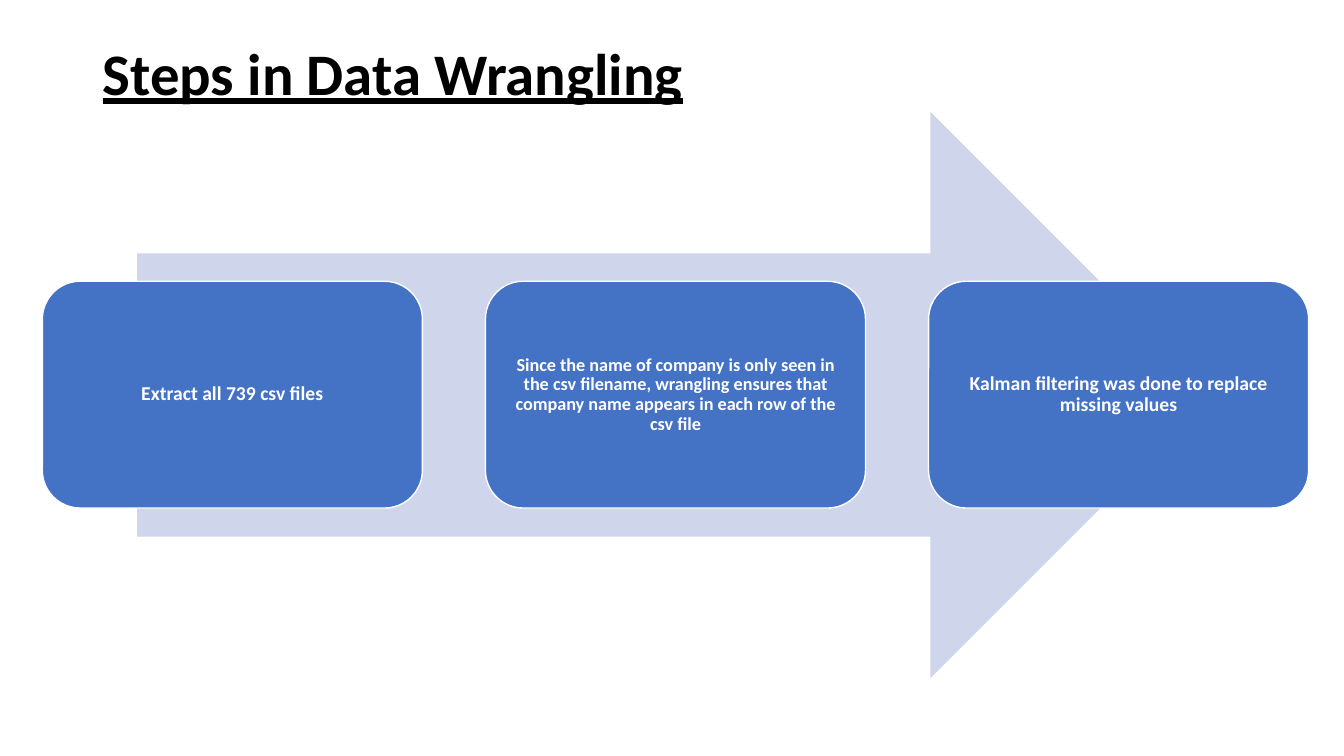
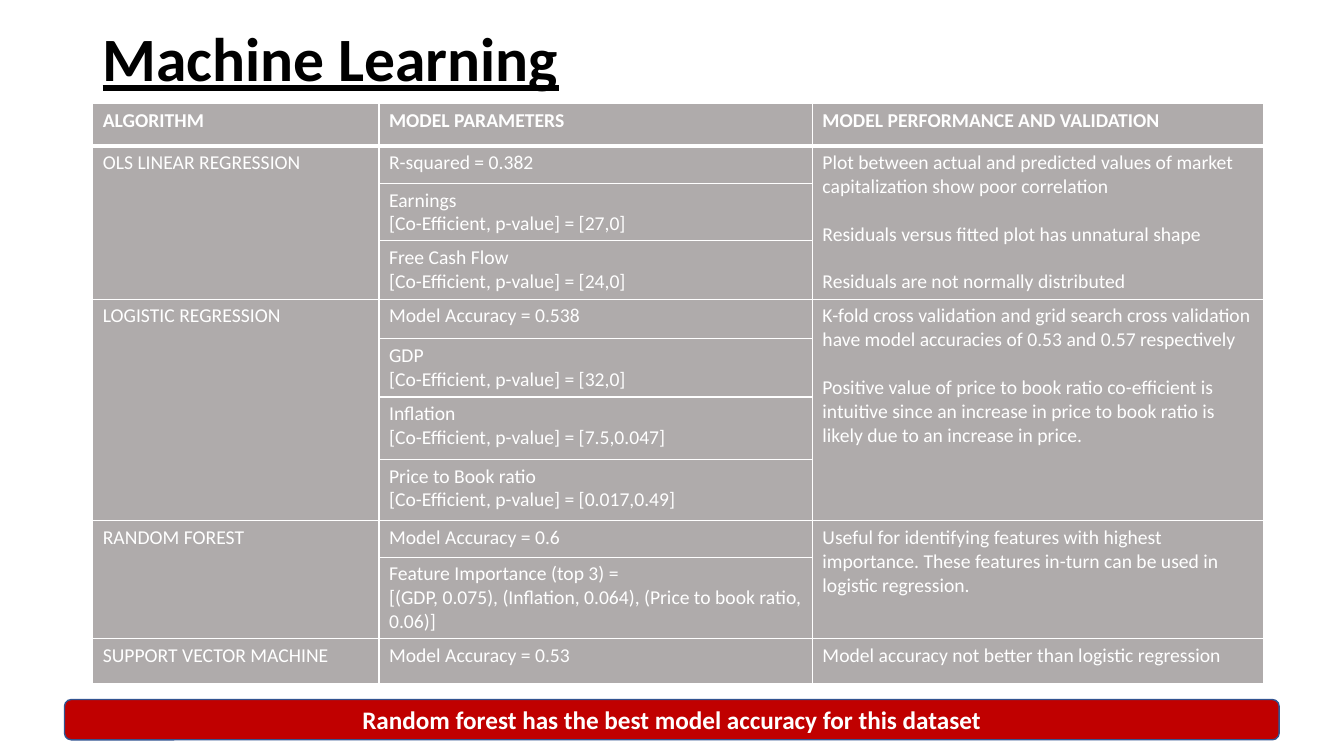
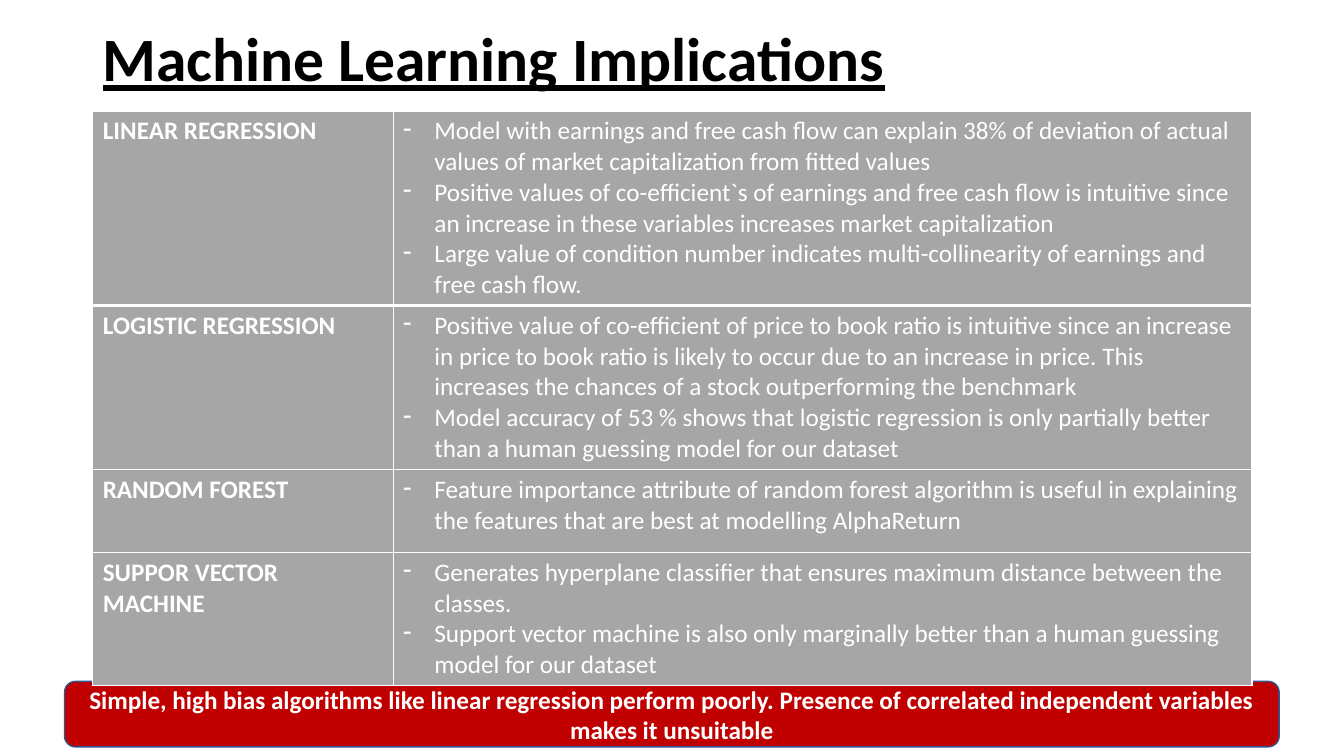
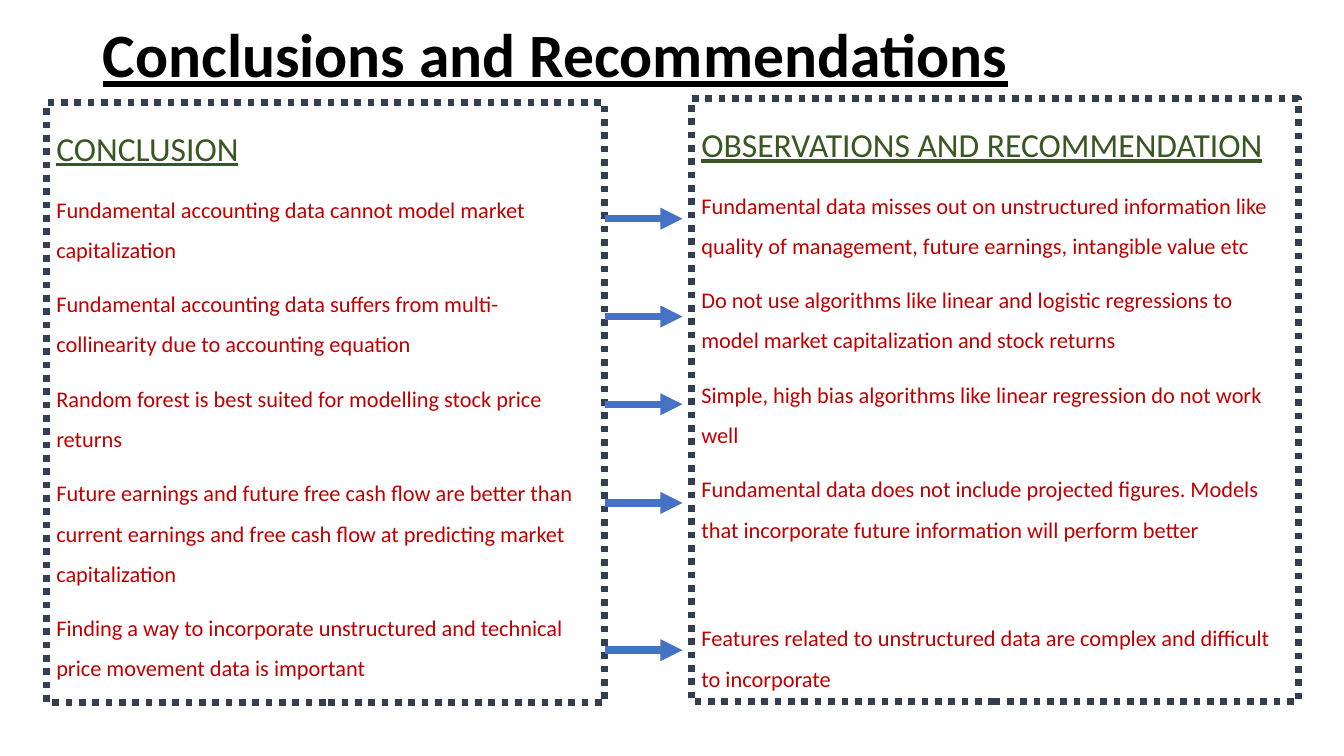
from dataclasses import dataclass, replace

from pptx import Presentation
from pptx.dml.color import RGBColor
from pptx.enum.dml import MSO_LINE
from pptx.enum.shapes import MSO_CONNECTOR, MSO_SHAPE
from pptx.enum.text import MSO_ANCHOR as Anchor, PP_ALIGN as Align
from pptx.oxml.ns import qn
from pptx.oxml.xmlchemy import OxmlElement as Element
from pptx.shapes.autoshape import Shape
from pptx.slide import Slide
from pptx.table import _Cell as Cell
from pptx.text.text import TextFrame
from pptx.util import Emu, Inches, Pt

COLORS = {
    "ink": "000000", "white": "FFFFFF", "blue": "4472C4", "pale": "CFD5EA",
    "red": "C00000", "banner_edge": "325491", "navy": "333F50", "green": "385723",
    "warm_gray": "AFABAB", "gray": "A6A6A6",
}
FONT = "Calibri"
SLIDE_W, SLIDE_H = Inches(13.333), Inches(7.5)
DASH_INDENT = Inches(0.31)


@dataclass(frozen=True)
class Box:
    """Place on the slide, in percent of its width and height."""
    left: float
    top: float
    width: float
    height: float


@dataclass(frozen=True)
class Style:
    size: float
    color: str = "white"
    bold: bool = False
    underline: bool = False
    align: Align = Align.LEFT
    spacing: float = 1.0
    before: float = 0
    dash: bool = False


@dataclass(frozen=True)
class Para:
    text: str
    style: Style


@dataclass(frozen=True)
class Algorithm:
    name: str
    parameters: list[list[str]]
    findings: list[str]


@dataclass(frozen=True)
class Panel:
    box: Box
    heading: str
    points: list[str]
    last_before: float = 10


TITLE = Style(44, "ink", bold=True, underline=True, spacing=0.9)
STEP = Style(14, bold=True, align=Align.CENTER, spacing=0.9)
BANNER = Style(18, bold=True, align=Align.CENTER)
HEADING = Style(24, "green", underline=True, spacing=1.5, before=10)
POINT = Style(16, "red", spacing=1.5, before=10)
MODEL_CELL = Style(14)
IMPLICATION = Style(18, dash=True)


# Shared helpers
def x(share: float) -> Emu:
    return Emu(round(SLIDE_W * share / 100))


def y(share: float) -> Emu:
    return Emu(round(SLIDE_H * share / 100))


def place(box: Box) -> tuple[Emu, Emu, Emu, Emu]:
    return x(box.left), y(box.top), x(box.width), y(box.height)


def rgb(name: str) -> RGBColor:
    return RGBColor.from_string(COLORS[name])


def write(frame: TextFrame, paras: list[Para]) -> None:
    frame.word_wrap = True
    for index, para in enumerate(paras):
        style = para.style
        paragraph = frame.paragraphs[0] if index == 0 else frame.add_paragraph()
        paragraph.alignment = style.align
        paragraph.line_spacing = style.spacing
        paragraph.space_before = Pt(style.before)
        if style.dash:
            props = paragraph._p.get_or_add_pPr()
            props.set("marL", str(DASH_INDENT))
            props.set("indent", str(-DASH_INDENT))
            bullet = Element("a:buChar")
            bullet.set("char", "-")
            props.append(bullet)
        run = paragraph.add_run()
        run.text = para.text
        font = run.font
        font.name, font.size = FONT, Pt(style.size)
        font.bold, font.underline = style.bold, style.underline
        font.color.rgb = rgb(style.color)


def add_title(slide: Slide, text: str, top: float, size: float = 44) -> None:
    frame = slide.shapes.add_textbox(*place(Box(6.9, top, 86.25, 19.33))).text_frame
    frame.vertical_anchor = Anchor.MIDDLE
    write(frame, [Para(text, replace(TITLE, size=size))])


def add_block(slide: Slide, kind: MSO_SHAPE, box: Box, fill: str | None = None,
              edge: str | None = None, weight: float = 1) -> Shape:
    block = slide.shapes.add_shape(kind, *place(box))
    block.shadow.inherit = False
    if fill:
        block.fill.solid()
        block.fill.fore_color.rgb = rgb(fill)
    else:
        block.fill.background()
    if edge:
        block.line.color.rgb = rgb(edge)
        block.line.width = Pt(weight)
    else:
        block.line.fill.background()
    block.text_frame.vertical_anchor = Anchor.MIDDLE
    return block


def add_banner(slide: Slide, text: str, top: float, height: float) -> None:
    banner = add_block(slide, MSO_SHAPE.ROUNDED_RECTANGLE,
                       Box(4.8, top, 90.38, height), "red", "banner_edge")
    write(banner.text_frame, [Para(text, BANNER)])


def format_cell(cell: Cell, fill: str, top: float, bottom: float) -> None:
    props = cell._tc.get_or_add_tcPr()
    for side, weight in (("L", 1), ("R", 1), ("T", top), ("B", bottom)):
        border = Element(f"a:ln{side}")
        border.set("w", str(Pt(weight)))
        paint, color = Element("a:solidFill"), Element("a:srgbClr")
        color.set("val", COLORS["white"])
        paint.append(color)
        border.append(paint)
        props.append(border)
    cell.fill.solid()
    cell.fill.fore_color.rgb = rgb(fill)


def add_grid(slide: Slide, top: float, columns: list[float], rows: list[float], fill: str):
    box = Box(6.9, top, sum(columns), sum(rows))
    grid = slide.shapes.add_table(len(rows), len(columns), *place(box)).table
    grid.first_row = grid.horz_banding = False
    for column, share in zip(grid.columns, columns):
        column.width = x(share)
    for index, (row, share) in enumerate(zip(grid.rows, rows)):
        row.height = y(share)
        for cell in row.cells:
            format_cell(cell, fill, 3 if index == 1 else 1, 3 if index == 0 else 1)
    return grid


# Slide 1: three steps on a wide arrow
STEPS = [
    ("Extract all 739 csv files", 14),
    ("Since the name of company is only seen in the csv filename, wrangling ensures "
     "that company name appears in each row of the csv file", 13),
    ("Kalman filtering was done to replace missing values", 14),
]


def build_wrangling(slide: Slide) -> None:
    add_title(slide, "Steps in Data Wrangling", 0.4, 42)
    add_block(slide, MSO_SHAPE.RIGHT_ARROW, Box(10.2, 14.8, 80.1, 74.93), "pale")
    for index, (text, size) in enumerate(STEPS):
        step = add_block(slide, MSO_SHAPE.ROUNDED_RECTANGLE,
                         Box(3.15 + index * 32.97, 37.2, 28.28, 30), "blue", "white")
        frame = step.text_frame
        frame.margin_left = frame.margin_right = Inches(0.16)
        write(frame, [Para(text, replace(STEP, size=size))])


# Slide 2: model table
MODEL_HEADS = ["ALGORITHM", "MODEL PARAMETERS", "MODEL PERFORMANCE AND VALIDATION"]
MODEL_ROWS = [5.6, 4.93, 7.6, 7.73, 5.2, 7.73, 8.27, 8.13, 4.8, 10.8, 5.87]
ALGORITHMS = [
    Algorithm("OLS LINEAR REGRESSION", [
        ["R-squared = 0.382"],
        ["Earnings", "[Co-Efficient, p-value] = [27,0]"],
        ["Free Cash Flow", "[Co-Efficient, p-value] = [24,0]"],
    ], [
        "Plot between actual and predicted values of market capitalization show poor "
        "correlation",
        "Residuals versus fitted plot has unnatural shape",
        "Residuals are not normally distributed",
    ]),
    Algorithm("LOGISTIC REGRESSION", [
        ["Model Accuracy = 0.538"],
        ["GDP", "[Co-Efficient, p-value] = [32,0]"],
        ["Inflation", "[Co-Efficient, p-value] = [7.5,0.047]"],
        ["Price to Book ratio", "[Co-Efficient, p-value] = [0.017,0.49]"],
    ], [
        "K-fold cross validation and grid search cross validation have model accuracies "
        "of 0.53 and 0.57 respectively",
        "Positive value of price to book ratio co-efficient is intuitive since an "
        "increase in price to book ratio is likely due to an increase in price.",
    ]),
    Algorithm("RANDOM FOREST", [
        ["Model Accuracy = 0.6"],
        ["Feature Importance (top 3) =",
         "[(GDP, 0.075), (Inflation, 0.064), (Price to book ratio, 0.06)]"],
    ], [
        "Useful for identifying features with highest importance. These features in-turn "
        "can be used in logistic regression.",
    ]),
    Algorithm("SUPPORT VECTOR MACHINE", [["Model Accuracy = 0.53"]],
              ["Model accuracy not better than logistic regression"]),
]


def build_models(slide: Slide) -> None:
    add_title(slide, "Machine Learning", -1.47)
    add_banner(slide, "Random forest has the best model accuracy for this dataset", 92.53, 5.33)
    models = add_grid(slide, 13.73, [21.3, 32.25, 33.6], MODEL_ROWS, "warm_gray")
    for column, head in enumerate(MODEL_HEADS):
        write(models.cell(0, column).text_frame, [Para(head, replace(MODEL_CELL, bold=True))])
    first = 1
    for algorithm in ALGORITHMS:
        last = first + len(algorithm.parameters) - 1
        if last > first:
            for column in (0, 2):
                models.cell(first, column).merge(models.cell(last, column))
        write(models.cell(first, 0).text_frame, [Para(algorithm.name, MODEL_CELL)])
        for row, lines in enumerate(algorithm.parameters, first):
            write(models.cell(row, 1).text_frame, [Para(line, MODEL_CELL) for line in lines])
        write(models.cell(first, 2).text_frame,
              [Para(finding, replace(MODEL_CELL, before=17 if index else 0))
               for index, finding in enumerate(algorithm.findings)])
        first = last + 1


# Slide 3: implications table
IMPLICATIONS = {
    "LINEAR REGRESSION": [
        "Model with earnings and free cash flow can explain 38% of deviation of actual "
        "values of market capitalization from fitted values",
        "Positive values of co-efficient`s of earnings and free cash flow is intuitive "
        "since an increase in these variables increases market capitalization",
        "Large value of condition number indicates multi-collinearity of earnings and "
        "free cash flow.",
    ],
    "LOGISTIC REGRESSION": [
        "Positive value of co-efficient of price to book ratio is intuitive since an "
        "increase in price to book ratio is likely to occur due to an increase in price. "
        "This increases the chances of a stock outperforming the benchmark",
        "Model accuracy of 53 % shows that logistic regression is only partially better "
        "than a human guessing model for our dataset",
    ],
    "RANDOM FOREST": [
        "Feature importance attribute of random forest algorithm is useful in explaining "
        "the features that are best at modelling AlphaReturn",
    ],
    "SUPPOR VECTOR MACHINE": [
        "Generates hyperplane classifier that ensures maximum distance between the classes.",
        "Support vector machine is also only marginally better than a human guessing "
        "model for our dataset",
    ],
}


def build_implications(slide: Slide) -> None:
    add_title(slide, "Machine Learning Implications", -1.47)
    add_banner(slide, "Simple, high bias algorithms like linear regression perform poorly. "
               "Presence of correlated independent variables makes it unsuitable", 90.13, 8.67)
    implications = add_grid(slide, 14.67, [22.35, 63.9], [25.73, 21.73, 10.93, 17.6], "gray")
    for row, (name, points) in enumerate(IMPLICATIONS.items()):
        write(implications.cell(row, 0).text_frame, [Para(name, Style(18, bold=True))])
        write(implications.cell(row, 1).text_frame,
              [Para(point, IMPLICATION) for point in points])


# Slide 4: conclusions linked to recommendations
PANELS = [
    Panel(Box(3.45, 13.6, 41.55, 79.33), "CONCLUSION", [
        "Fundamental accounting data cannot model market capitalization",
        "Fundamental accounting data suffers from multi-collinearity due to accounting "
        "equation",
        "Random forest is best suited for modelling stock price returns",
        "Future earnings and future free cash flow are better than current earnings and "
        "free cash flow at predicting market capitalization",
        "Finding a way to incorporate unstructured and technical price movement data is "
        "important",
    ]),
    Panel(Box(51.45, 13.07, 45.15, 79.73), "OBSERVATIONS AND RECOMMENDATION", [
        "Fundamental data misses out on unstructured information like quality of "
        "management, future earnings, intangible value etc",
        "Do not use algorithms like linear and logistic regressions to model market "
        "capitalization and stock returns",
        "Simple, high bias algorithms like linear regression do not work well",
        "Fundamental data does not include projected figures. Models that incorporate "
        "future information will perform better",
        "Features related to unstructured data are complex and difficult to incorporate",
    ], last_before=49),
]
ARROW_LEVELS = [28.93, 41.87, 53.47, 66.53, 86]


def add_arrow(slide: Slide, level: float) -> None:
    arrow = slide.shapes.add_connector(MSO_CONNECTOR.STRAIGHT, x(45), y(level), x(50.78), y(level))
    arrow.line.color.rgb = rgb("blue")
    arrow.line.width = Pt(5.25)
    head = Element("a:tailEnd")
    head.set("type", "triangle")
    props = arrow._element.spPr
    props.find(qn("a:ln")).append(head)
    props.append(Element("a:effectLst"))


def build_conclusions(slide: Slide) -> None:
    add_title(slide, "Conclusions and Recommendations", -2)
    for panel in PANELS:
        frame_box = add_block(slide, MSO_SHAPE.RECTANGLE, panel.box, edge="navy", weight=4.75)
        frame_box.line.dash_style = MSO_LINE.ROUND_DOT
        frame_box.text_frame.vertical_anchor = Anchor.TOP
        *points, last = panel.points
        write(frame_box.text_frame,
              [Para(panel.heading, HEADING), *(Para(point, POINT) for point in points),
               Para(last, replace(POINT, before=panel.last_before))])
    for level in ARROW_LEVELS:
        add_arrow(slide, level)


def main() -> None:
    deck = Presentation()
    deck.slide_width, deck.slide_height = SLIDE_W, SLIDE_H
    blank = deck.slide_layouts[6]
    for build in (build_wrangling, build_models, build_implications, build_conclusions):
        build(deck.slides.add_slide(blank))
    deck.save("out.pptx")


if __name__ == "__main__":
    main()
